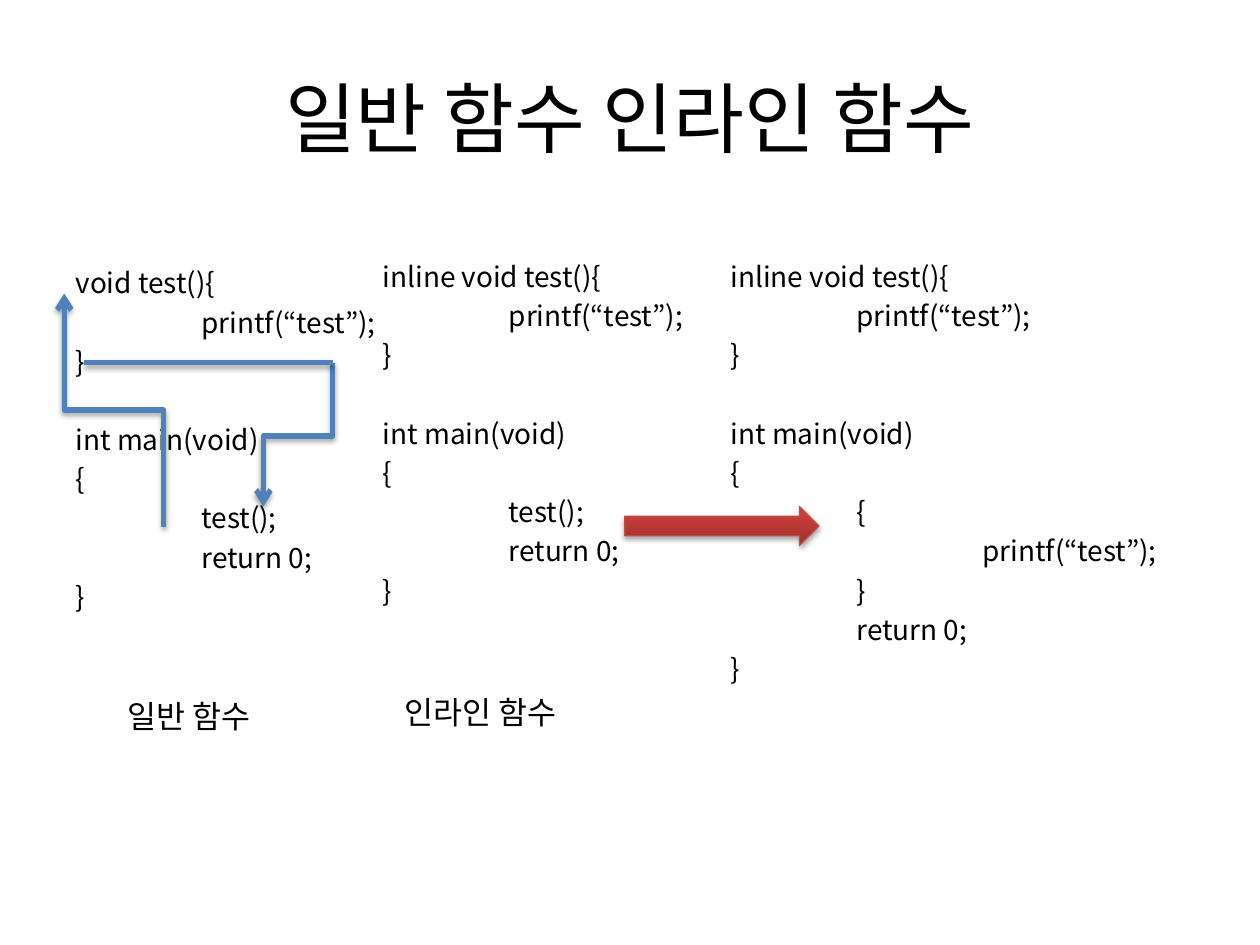
import pptx
import pptx.util
import pptx.dml.color
import pptx.enum.shapes
import pptx.enum.text
import pptx.oxml
import pptx.oxml.ns
from lxml import etree

Inches = pptx.util.Inches
Pt = pptx.util.Pt
RGBColor = pptx.dml.color.RGBColor
qn = pptx.oxml.ns.qn

FONT = "Noto Sans CJK KR"
BLACK = RGBColor(0x00, 0x00, 0x00)
BLUE = RGBColor(0x4F, 0x81, 0xBD)
RED_DARK = RGBColor(0x9C, 0x2F, 0x2D)
RED_LIGHT = RGBColor(0xCB, 0x3E, 0x3A)
RED_LINE = RGBColor(0xBF, 0x4C, 0x48)

CODE_SIZE = 16
LINE_HEIGHT = 1.2
LINE_GAP = 0.2 * CODE_SIZE
BLOCK_GAP = LINE_GAP * 2 + LINE_HEIGHT * CODE_SIZE
TAB_WIDTH = Inches(1)

PRINT_LINE = "printf(“test”);"
CALL_BODY = ["\ttest();", "\treturn 0;"]
EXPANDED_BODY = ["\t{", "\t\t" + PRINT_LINE, "\t}", "\treturn 0;"]


def test_function(header):
    return [header, " \t" + PRINT_LINE, "}"]


def main_function(body):
    return ["int main(void)", "{", *body, "}"]


def add_run(paragraph, text, size):
    run = paragraph.add_run()
    run.text = text
    run.font.size = Pt(size)
    run.font.name = FONT
    run.font.color.rgb = BLACK
    east_asian = etree.SubElement(run._r.get_or_add_rPr(), qn("a:ea"))
    east_asian.set("typeface", FONT)


def place(shape, left, top, width, height):
    shape.left, shape.top = Inches(left), Inches(top)
    shape.width, shape.height = Inches(width), Inches(height)


def format_code_paragraph(paragraph):
    properties = paragraph._p.get_or_add_pPr()
    properties.set("marL", "0")
    properties.set("indent", "0")
    properties.set("defTabSz", str(TAB_WIDTH))
    etree.SubElement(properties, qn("a:buNone"))
    tabs = etree.SubElement(properties, qn("a:tabLst"))
    for count in (1, 2):
        etree.SubElement(tabs, qn("a:tab"), pos=str(count * TAB_WIDTH), algn="l")
    paragraph.line_spacing = Pt(LINE_HEIGHT * CODE_SIZE)


def fill_title(shape, text, box):
    place(shape, *box)
    frame = shape.text_frame
    frame.vertical_anchor = pptx.enum.text.MSO_ANCHOR.MIDDLE
    paragraph = frame.paragraphs[0]
    paragraph.alignment = pptx.enum.text.PP_ALIGN.CENTER
    add_run(paragraph, text, 44)


def fill_code(shape, blocks, box):
    place(shape, *box)
    frame = shape.text_frame
    frame.word_wrap = True
    frame.auto_size = pptx.enum.text.MSO_AUTO_SIZE.NONE
    frame.margin_top = Inches(0.36)
    frame.margin_right = 0
    paragraph = frame.paragraphs[0]
    for block_index, block in enumerate(blocks):
        for line_index, line in enumerate(block):
            gap = LINE_GAP if line_index else BLOCK_GAP
            if block_index or line_index:
                paragraph = frame.add_paragraph()
            else:
                gap = 0
            format_code_paragraph(paragraph)
            paragraph.space_before = Pt(gap)
            add_run(paragraph, line, CODE_SIZE)


def add_label(slide, text, left, top):
    label = slide.shapes.add_textbox(Inches(left), Inches(top), Inches(2.59), Inches(0.4))
    label.text_frame.word_wrap = True
    paragraph = label.text_frame.paragraphs[0]
    paragraph.line_spacing = Pt(LINE_HEIGHT * 18)
    add_run(paragraph, text, 18)


def add_shadow(shape):
    effects = etree.SubElement(shape._element.spPr, qn("a:effectLst"))
    shadow = etree.SubElement(effects, qn("a:outerShdw"))
    for name, value in (("blurRad", Pt(3.1)), ("dist", Pt(1.8)), ("dir", 90 * 60000), ("rotWithShape", 0)):
        shadow.set(name, str(value))
    color = etree.SubElement(shadow, qn("a:srgbClr"), val="000000")
    etree.SubElement(color, qn("a:alpha"), val="35000")


def add_block_arrow(slide, left, top, width, height):
    arrow = slide.shapes.add_shape(
        pptx.enum.shapes.MSO_SHAPE.RIGHT_ARROW,
        Inches(left), Inches(top), Inches(width), Inches(height))
    arrow.fill.gradient()
    arrow.fill.gradient_angle = 90
    stops = zip(arrow.fill.gradient_stops, (RED_DARK, RED_LIGHT), (0, 0.8))
    for stop, color, position in stops:
        stop.color.rgb = color
        stop.position = position
    arrow.line.color.rgb = RED_LINE
    arrow.line.width = Pt(0.75)
    add_shadow(arrow)


def add_flow_line(slide, kind, begin, end, has_head):
    connector = slide.shapes.add_connector(kind, *map(Inches, begin + end))
    connector.line.color.rgb = BLUE
    connector.line.width = Pt(3)
    if has_head:
        etree.SubElement(connector.line._get_or_add_ln(), qn("a:tailEnd"), type="arrow")
    add_shadow(connector)
    return connector


def add_vertical_elbow(slide, begin, end, bend=0.5):
    center_x, center_y = (begin[0] + end[0]) / 2, (begin[1] + end[1]) / 2
    half_length = abs(end[1] - begin[1]) / 2
    half_depth = abs(end[0] - begin[0]) / 2
    goes_up = end[1] < begin[1]
    slope = -half_depth if goes_up else half_depth
    connector = add_flow_line(
        slide, pptx.enum.shapes.MSO_CONNECTOR.ELBOW,
        (center_x - half_length, center_y - slope),
        (center_x + half_length, center_y + slope), True)
    properties = connector._element.spPr
    properties.find(qn("a:xfrm")).set("rot", str((270 if goes_up else 90) * 60000))
    adjustments = properties.find(qn("a:prstGeom")).find(qn("a:avLst"))
    etree.SubElement(adjustments, qn("a:gd"), name="adj1", fmla=f"val {round(bend * 100000)}")


def add_call_flow(slide):
    add_vertical_elbow(slide, (1.3, 4.18), (0.51, 2.33))
    add_vertical_elbow(slide, (2.64, 2.88), (2.09, 4.02), 0.51)
    add_flow_line(slide, pptx.enum.shapes.MSO_CONNECTOR.STRAIGHT, (0.67, 2.88), (2.64, 2.88), False)


def build_slide(presentation):
    slide = presentation.slides.add_slide(presentation.slide_layouts[1])
    fill_title(slide.shapes.title, "일반 함수 인라인 함수", (0.5, 0.3, 9, 1.25))

    normal_code = [test_function("void test(){"), main_function(CALL_BODY)]
    fill_code(slide.placeholders[1], normal_code, (0.5, 1.75, 2.61, 4.95))
    inline_columns = ((2.94, 2.61, CALL_BODY), (5.7, 4.01, EXPANDED_BODY))
    for left, width, body in inline_columns:
        code_box = slide.shapes.add_textbox(0, 0, 0, 0)
        blocks = [test_function("inline void test(){"), main_function(body)]
        fill_code(code_box, blocks, (left, 1.7, width, 4.95))

    add_label(slide, "일반 함수", 0.91, 5.48)
    add_label(slide, "인라인 함수", 3.11, 5.45)
    add_block_arrow(slide, 4.96, 4.02, 1.54, 0.31)
    add_call_flow(slide)


def main():
    presentation = pptx.Presentation()
    presentation.slide_width = Inches(10)
    presentation.slide_height = Inches(7.5)
    build_slide(presentation)
    presentation.save("out.pptx")


if __name__ == "__main__":
    main()
